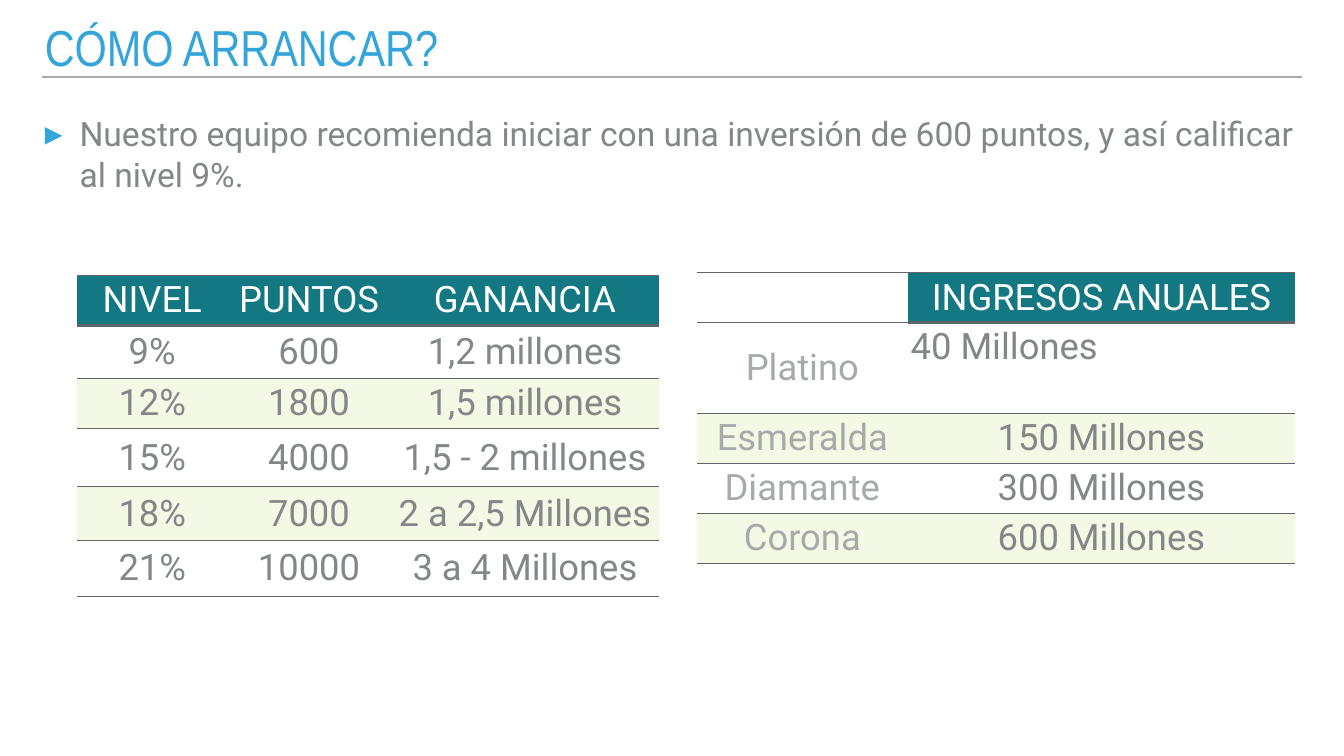
from dataclasses import dataclass
from lxml.etree import SubElement
from pptx import Presentation
from pptx.dml.color import RGBColor
from pptx.enum.shapes import MSO_CONNECTOR
from pptx.enum.text import MSO_ANCHOR, PP_ALIGN
from pptx.oxml import parse_xml
from pptx.oxml.ns import nsdecls, qn
from pptx.util import Cm, Pt

BLUE = RGBColor(0x34, 0xA5, 0xDA)
GREY = RGBColor(0x83, 0x87, 0x87)
LIGHT_GREY = RGBColor(0xA6, 0xAA, 0xA9)
TEAL = RGBColor(0x14, 0x78, 0x82)
LIME = RGBColor(0xD4, 0xEB, 0x9B)
RULE = RGBColor(0x5F, 0x65, 0x68)
WHITE = RGBColor(0xFF, 0xFF, 0xFF)
INSET = Cm(0.15)
NO_STYLE = "{2D5ABB26-0587-4C30-8999-92F81FD0307C}"

LEVELS = [
    ("NIVEL", "PUNTOS", "GANANCIA"),
    ("9%", "600", "1,2 millones"),
    ("12%", "1800", "1,5 millones"),
    ("15%", "4000", "1,5 - 2 millones"),
    ("18%", "7000", "2 a 2,5 Millones"),
    ("21%", "10000", "3 a 4 Millones"),
]
INCOMES = [
    ("", "INGRESOS ANUALES"),
    ("Platino", "40 Millones"),
    ("Esmeralda", "150 Millones"),
    ("Diamante", "300 Millones"),
    ("Corona", "600 Millones"),
]


@dataclass
class Box:
    """An area of the slide in centimetres."""
    left: float
    top: float
    width: float = 0
    height: float = 0

    def lengths(self):
        """Return left, top, width and height as lengths."""
        return Cm(self.left), Cm(self.top), Cm(self.width), Cm(self.height)


def set_font(paragraph, name, size, color):
    """Give a paragraph its font, size and colour."""
    paragraph.font.name = name
    paragraph.font.size = Pt(size)
    paragraph.font.color.rgb = color


def set_insets(frame):
    """Give a text frame or a cell equal margins."""
    frame.margin_left = frame.margin_right = INSET
    frame.margin_top = frame.margin_bottom = INSET


def add_heading(slide, box):
    """Place the title and the rule under it."""
    title = slide.shapes.title
    title.left, title.top, title.width, title.height = box.lengths()
    frame = title.text_frame
    frame.text = "CÓMO ARRANCAR?"
    frame.word_wrap = True
    frame.vertical_anchor = MSO_ANCHOR.BOTTOM
    set_insets(frame)
    heading = frame.paragraphs[0]
    heading.alignment = PP_ALIGN.LEFT
    heading.line_spacing = 0.8
    set_font(heading, "Arial Narrow", 72.2, BLUE)

    rule_y = Cm(box.top + 2.7)
    rule = slide.shapes.add_connector(
        MSO_CONNECTOR.STRAIGHT, Cm(box.left), rule_y, Cm(box.left + box.width), rule_y)
    rule.line.color.rgb = LIGHT_GREY
    rule.line.width = Pt(2)
    SubElement(rule._element.spPr, qn("a:effectLst"))


def add_advice(slide, box):
    """Place the bulleted recommendation."""
    frame = slide.shapes.add_textbox(*box.lengths()).text_frame
    frame.word_wrap = True
    set_insets(frame)
    advice = frame.paragraphs[0]
    advice.text = ("Nuestro equipo recomienda iniciar con una inversión de 600 puntos, "
                   "y así calificar al nivel 9%.")
    set_font(advice, "Roboto", 48, GREY)
    properties = advice._p.get_or_add_pPr()
    properties.set("marL", str(Cm(1.75)))
    properties.set("indent", str(-Cm(1.75)))
    bullet_color = SubElement(properties, qn("a:buClr"))
    SubElement(bullet_color, qn("a:srgbClr"), val=str(BLUE))
    SubElement(properties, qn("a:buSzPct"), val="105000")
    SubElement(properties, qn("a:buFont"), typeface="Arial")
    SubElement(properties, qn("a:buChar"), char="▸")
    default_font = properties.find(qn("a:defRPr"))
    if default_font is not None:
        properties.append(default_font)


def fill_cell(cell, color, opacity=100):
    """Fill a cell with a colour of the given opacity in percent."""
    cell.fill.solid()
    cell.fill.fore_color.rgb = color
    if opacity < 100:
        swatch = cell._tc.tcPr.find(".//" + qn("a:srgbClr"))
        SubElement(swatch, qn("a:alpha"), val=str(opacity * 1000))


def rule_cell(cell, **widths):
    """Draw cell borders, given as lnT and lnB widths in points."""
    for index, (side, width) in enumerate(widths.items()):
        cell._tc.get_or_add_tcPr().insert(index, parse_xml(
            f'<a:{side} {nsdecls("a")} w="{Pt(width)}"><a:solidFill>'
            f'<a:srgbClr val="{RULE}"/></a:solidFill></a:{side}>'))


def add_grid(slide, box, rows, widths, heights, label_color=GREY):
    """Place a ruled table with a teal header and tinted even rows."""
    frame = slide.shapes.add_table(
        len(rows), len(widths), Cm(box.left), Cm(box.top), Cm(sum(widths)), Cm(sum(heights)))
    table = frame.table
    table._tbl.tblPr.find(qn("a:tableStyleId")).text = NO_STYLE
    for column, width in zip(table.columns, widths):
        column.width = Cm(width)
    for row, height in zip(table.rows, heights):
        row.height = Cm(height)
    for r, values in enumerate(rows):
        for c, value in enumerate(values):
            cell = table.cell(r, c)
            cell.text = value
            cell.vertical_anchor = MSO_ANCHOR.MIDDLE
            set_insets(cell)
            entry = cell.text_frame.paragraphs[0]
            entry.alignment = PP_ALIGN.CENTER
            is_header = r == 0 and value != ""
            body_color = label_color if c == 0 else GREY
            set_font(entry, "Roboto", 52, WHITE if is_header else body_color)
            if is_header:
                fill_cell(cell, TEAL)
            elif r and r % 2 == 0:
                fill_cell(cell, LIME, 26)
            if r == 0:
                rule_cell(cell, lnT=2, lnB=5 if is_header else 2)
            else:
                rule_cell(cell, lnB=2)
    return table


def add_level_table(slide, box):
    """Place the table of levels, points and earnings."""
    add_grid(slide, box, LEVELS, [7.57, 8.23, 13.54], [2.46, 2.67, 2.54, 2.92, 2.72, 2.82])


def add_income_table(slide, box):
    """Place the table of yearly income by rank."""
    table = add_grid(slide, box, INCOMES, [10.62, 19.53],
                     [2.52, 4.58, 2.52, 2.52, 2.52], LIGHT_GREY)
    platinum = table.cell(1, 1)
    platinum.vertical_anchor = MSO_ANCHOR.TOP
    platinum.text_frame.paragraphs[0].alignment = PP_ALIGN.LEFT


def main():
    """Build the slide and save it."""
    deck = Presentation()
    deck.slide_width, deck.slide_height = Cm(67.74), Cm(38.1)
    slide = deck.slides.add_slide(deck.slide_layouts[5])
    add_heading(slide, Box(2.11, 1.19, 63.5, 2.82))
    add_advice(slide, Box(2.11, 5.56, 63.5, 29))
    add_level_table(slide, Box(3.89, 13.89))
    add_income_table(slide, Box(35.13, 13.74))
    deck.save("out.pptx")


if __name__ == "__main__":
    main()
